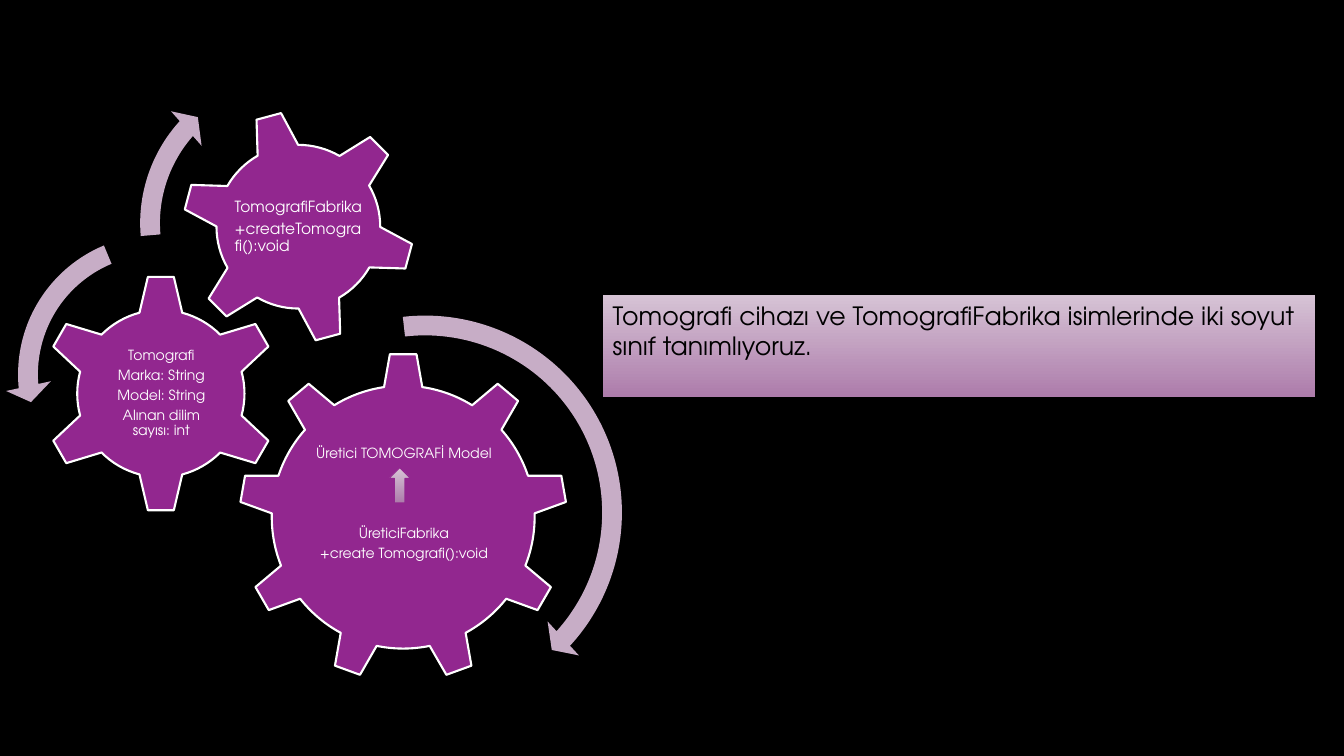
import pptx
import pptx.dml.color
import pptx.enum.shapes
import pptx.enum.text
import pptx.util

Pt = pptx.util.Pt
SHAPE = pptx.enum.shapes.MSO_SHAPE
ALIGN = pptx.enum.text.PP_ALIGN
ANCHOR = pptx.enum.text.MSO_ANCHOR

THEME = {
    "font": "TeX Gyre Adventor",
    "back": "000000", "gear": "92278F", "edge": "FFFFFF", "arrow": "C7ADC6",
    "light": "D6C3D5", "dark": "AD7CAB", "banner_text": "000000", "gear_text": "FFFFFF",
    "banner_size": 18, "body_size": 10, "factory_size": 11,
}

prs = pptx.Presentation()
prs.slide_width = pptx.util.Inches(13.333)
prs.slide_height = pptx.util.Inches(7.5)
s = prs.slides.add_slide(prs.slide_layouts[6])


def add(kind, box, fill=None, line=None, width=1.5, adj=()):
    """Add a shape (or a text box if kind is None); box is in percent of the slide."""
    spans = (prs.slide_width, prs.slide_height) * 2
    place = [round(share * span / 100) for share, span in zip(box, spans)]
    if kind is None:
        return s.shapes.add_textbox(*place)
    sp = s.shapes.add_shape(kind, *place)
    sp.shadow.inherit = False
    for i, value in enumerate(adj):
        sp.adjustments[i] = value
    if fill:
        sp.fill.solid()
        sp.fill.fore_color.rgb = pptx.dml.color.RGBColor.from_string(THEME[fill])
    else:
        sp.fill.gradient()
        sp.fill.gradient_angle = 270
        for stop, name in zip(sp.fill.gradient_stops, ("light", "dark")):
            stop.color.rgb = pptx.dml.color.RGBColor.from_string(THEME[name])
    if line:
        sp.line.color.rgb = pptx.dml.color.RGBColor.from_string(THEME[line])
        sp.line.width = Pt(width)
    else:
        sp.line.fill.background()
    return sp


def write(sp, lines, size, color, align=ALIGN.LEFT, anchor=ANCHOR.TOP,
          inset=None, spacing=None, after=0):
    tf = sp.text_frame
    tf.word_wrap = True
    tf.vertical_anchor = anchor
    if inset is not None:
        tf.margin_left = tf.margin_right = tf.margin_top = tf.margin_bottom = Pt(inset)
    for i, text in enumerate(lines):
        p = tf.paragraphs[0] if i == 0 else tf.add_paragraph()
        p.alignment = align
        p.line_spacing = spacing
        p.space_after = Pt(after)
        r = p.add_run()
        r.text = text
        r.font.name = THEME["font"]
        r.font.size = Pt(THEME[size])
        r.font.color.rgb = pptx.dml.color.RGBColor.from_string(THEME[color])
    return tf


# Background
s.background.fill.solid()
s.background.fill.fore_color.rgb = pptx.dml.color.RGBColor.from_string(THEME["back"])

# Banner
banner = add(SHAPE.RECTANGLE, (44.85, 39.07, 53.03, 13.47))
write(banner, ["Tomografi cihazı ve TomografiFabrika isimlerinde iki soyut sınıf tanımlıyoruz."],
      "banner_size", "banner_text")

# Gears: shape, gear box, rotation, text box, lines, size, alignment, inset
gears = [
    (SHAPE.GEAR_9, (17.78, 46.67, 24.45, 43.47), 0, (22.73, 56.8, 14.63, 22.4),
     ["Üretici TOMOGRAFİ Model", "ÜreticiFabrika", "+create Tomografi():void"],
     "body_size", ALIGN.CENTER, 0.9),
    (SHAPE.GEAR_6, (3.08, 36.27, 17.78, 31.6), 0, (7.58, 44.27, 8.85, 15.6),
     ["Tomografi", "Marka: String", "Model: String", "Alınan dilim sayısı: int"],
     "body_size", ALIGN.CENTER, 0.9),
    (SHAPE.GEAR_6, (13.5, 14.53, 17.4, 30.93), 345, (17.33, 21.33, 9.75, 17.33),
     ["TomografiFabrika", "+createTomografi():void"],
     "factory_size", ALIGN.JUSTIFY, 1.2),
]
frames = []
for kind, box, rotation, text_box, lines, size, align, inset in gears:
    add(kind, box, "gear", "edge").rotation = rotation
    frames.append(write(add(None, text_box), lines, size, "gear_text", align, ANCHOR.MIDDLE,
                        inset, 0.9, 0.35 * THEME[size]))

# Room for the small arrow between product and factory
frames[0].paragraphs[1].space_before = Pt(43)
frames[0].margin_bottom = Pt(15)

# Curved arrows around the gears
for kind, box, adj in [
    (SHAPE.CIRCULAR_ARROW, (15.98, 40, 31.28, 55.6), (0.047, 2.99, 25.393, 158.123, 0.055)),
    (SHAPE.LEFT_CIRCULAR_ARROW, (0.38, 29.33, 22.73, 40.4), (0.065, 4.3, 104.891, 148.378, 0.075)),
    (SHAPE.CIRCULAR_ARROW, (9.45, 7.73, 24.53, 43.6), (0.06, 3.941, 133.138, 105.082, 0.07)),
]:
    add(kind, box, "arrow", adj=adj)

# Arrow from factory to product
add(SHAPE.UP_ARROW, (28.95, 61.87, 1.58, 4.67), line="gear", width=0.75)

prs.save("out.pptx")
